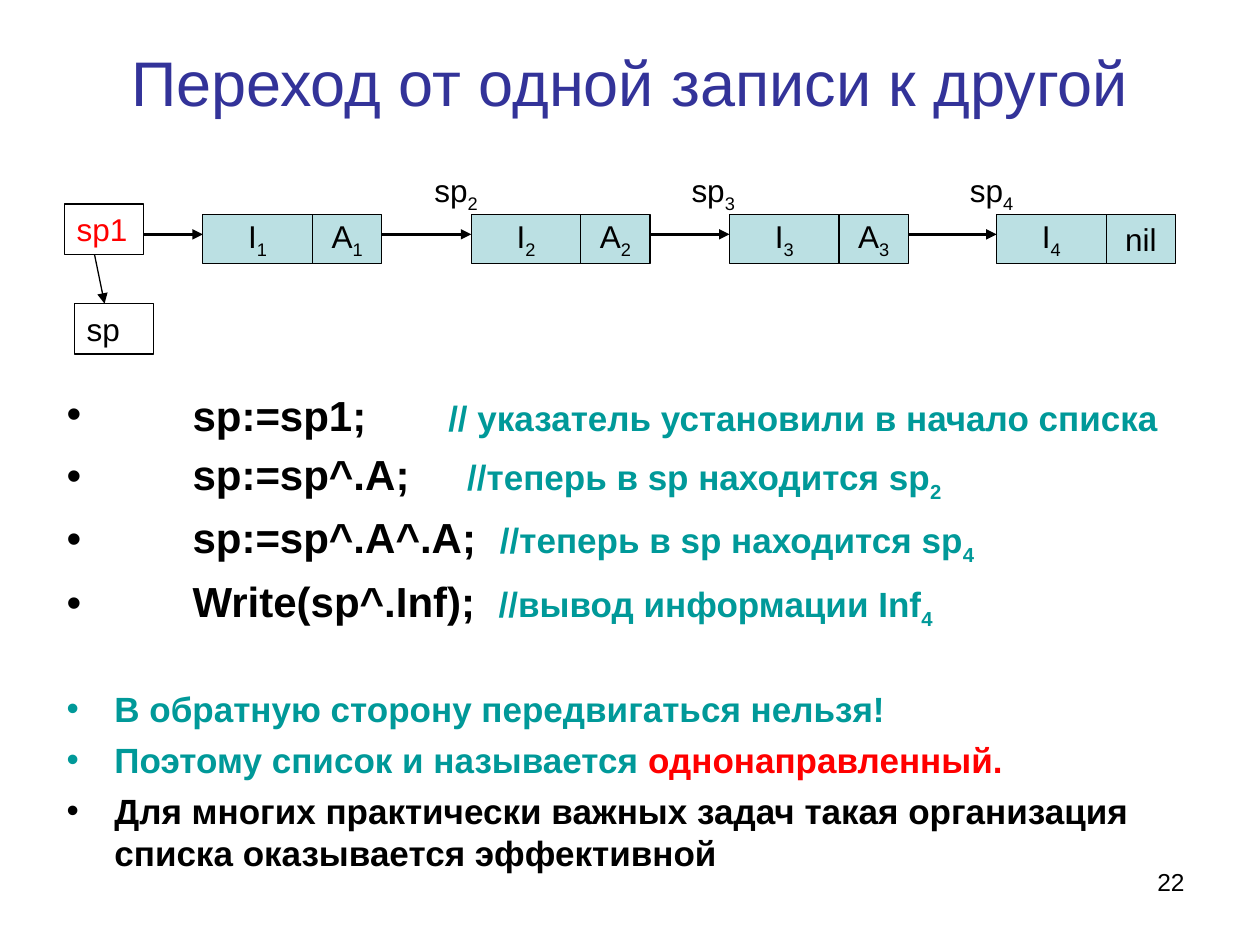
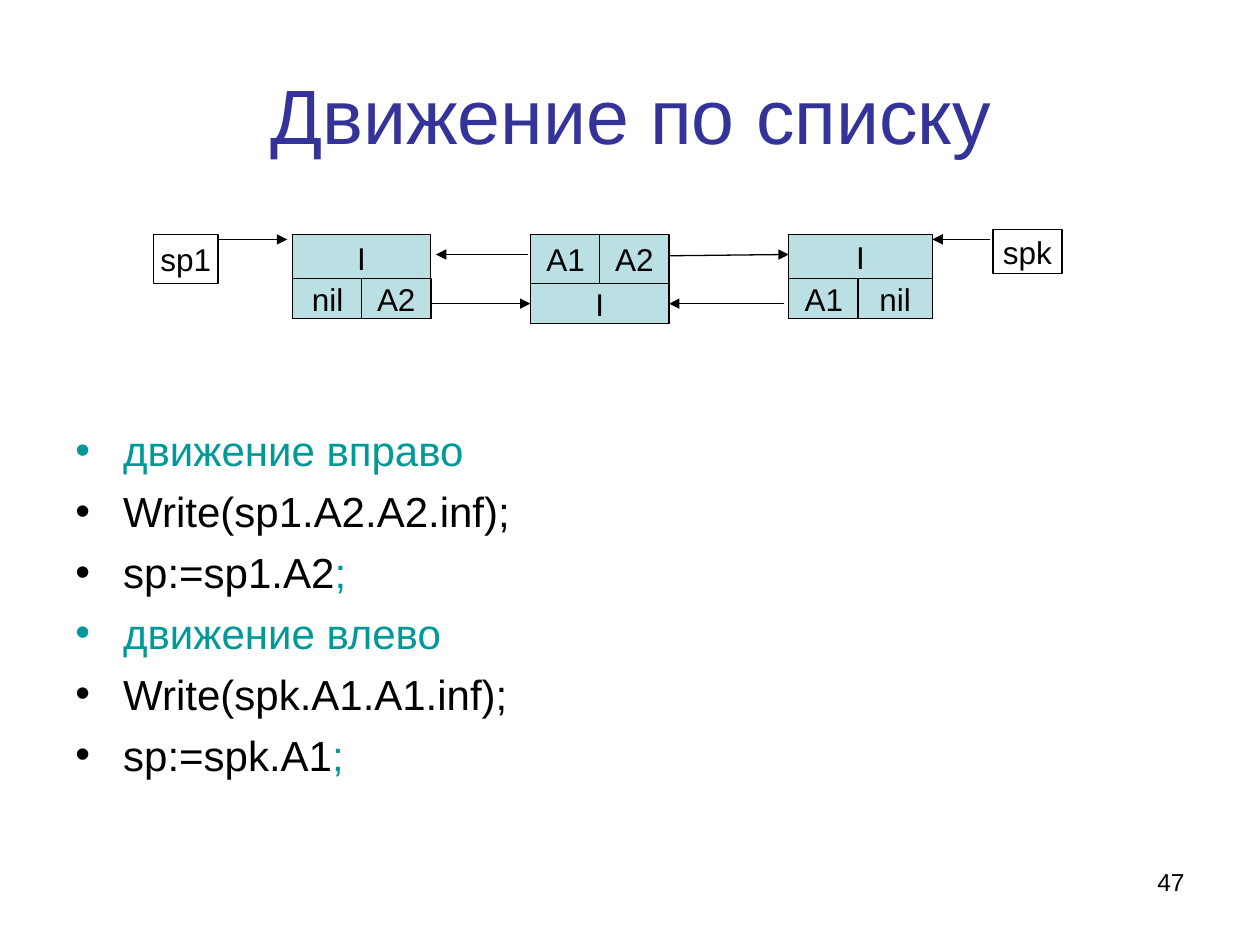
"""Build two slides on moving through one-way and two-way linked lists."""
import pptx
import pptx.util
import pptx.dml.color
import pptx.enum.shapes
import pptx.enum.text
import pptx.oxml.xmlchemy

Inches, Pt = pptx.util.Inches, pptx.util.Pt
ALIGN = pptx.enum.text.PP_ALIGN
ANCHOR = pptx.enum.text.MSO_ANCHOR

FONT = "Arial"
BLACK, NAVY, TEAL, RED, PALE = "000000", "333399", "009999", "FF0000", "BBE0E3"
INDENT = 0.38

ONE_WAY = {
    "title": ("Переход от одной записи к другой", (0.5, 0.3, 9, 0.69), 36),
    "page": "22",
    "body": (0.43, 3.04, 9, 3.89),
    "nodes": [
        (1.61, "I_1", "A_1"),
        (3.74, "I_2", "A_2"),
        (5.79, "I_3", "A_3"),
        (7.91, "I_4", "nil"),
    ],
    "labels": [(3.35, "sp_2"), (5.39, "sp_3"), (7.6, "sp_4")],
    "heads": [((0.51, 1.62, 0.63, 0.4), "sp1", RED), ((0.59, 2.41, 0.63, 0.4), "sp", BLACK)],
    "code": [
        ("sp:=sp1;", 3.03, "// указатель установили в начало списка"),
        ("sp:=sp^.A;", 3.18, "//теперь в sp находится sp_2"),
        ("sp:=sp^.A^.A;", 3.44, "//теперь в sp находится sp_4"),
        ("Write(sp^.Inf);", 3.43, "//вывод информации Inf_4"),
    ],
    "notes": [
        [("В обратную сторону передвигаться нельзя!", TEAL)],
        [("Поэтому список и называется ", TEAL), ("однонаправленный.", RED)],
        [("Для многих практически важных задач такая организация списка "
          "оказывается эффективной", BLACK)],
    ],
}

TWO_WAY = {
    "title": ("Движение по списку", (0.51, 0.28, 9, 1.25), 44),
    "page": "47",
    "body": (0.5, 3.32, 9, 3.38),
    "cells": [
        ("I", (2.32, 1.86, 1.1, 0.37)),
        ("nil", (2.32, 2.21, 0.56, 0.32)),
        ("А2", (2.87, 2.21, 0.55, 0.32)),
        ("A1", (4.21, 1.86, 0.56, 0.39)),
        ("A2", (4.76, 1.86, 0.55, 0.39)),
        ("I", (6.26, 1.86, 1.14, 0.35)),
        ("A1", (6.26, 2.21, 0.56, 0.32)),
        ("nil", (6.81, 2.21, 0.59, 0.32)),
    ],
    "middle": ("I", (4.21, 2.25, 1.1, 0.32)),
    "heads": [("sp1", (1.22, 1.86, 0.51, 0.39)), ("spk", (7.88, 1.82, 0.55, 0.35))],
    "arrows": [
        ((1.73, 1.9), (2.28, 1.9)),
        ((4.19, 2.02), (3.46, 2.02)),
        ((5.31, 2.03), (6.26, 2.02)),
        ((7.86, 1.9), (7.4, 1.9)),
    ],
    "joined": [((3.43, 2.41), (4.21, 2.41), 1), ((6.22, 2.41), (5.31, 2.41), 3)],
    "code": [
        [("движение вправо", TEAL)],
        [("Write(sp1.A2.A2.inf);", BLACK)],
        [("sp:=sp1.A2", BLACK), (";", TEAL)],
        [("движение влево", TEAL)],
        [("Write(spk.A1.A1.inf);", BLACK)],
        [("sp:=spk.A1", BLACK), (";", TEAL)],
    ],
}


def color(code):
    return pptx.dml.color.RGBColor.from_string(code)


def add_child(parent, tag, **attrs):
    child = pptx.oxml.xmlchemy.OxmlElement(tag)
    for key, value in attrs.items():
        child.set(key, str(value))
    parent.append(child)
    return child


def write(para, text, size=18, ink=BLACK, bold=False):
    for index, part in enumerate(text.split("_")):
        run = para.add_run()
        run.text = part
        font = run.font
        font.name, font.size, font.bold = FONT, Pt(size), bold
        font.color.rgb = color(ink)
        if index:
            run._r.get_or_add_rPr().set("baseline", "-25000")


def add_text(slide, place, text, size=18, ink=BLACK, align=ALIGN.LEFT, anchor=ANCHOR.TOP):
    box = slide.shapes.add_textbox(*map(Inches, place))
    frame = box.text_frame
    frame.word_wrap = True
    frame.vertical_anchor = anchor
    para = frame.paragraphs[0]
    para.alignment = align
    write(para, text, size, ink)


def add_box(slide, place, text, fill=None, ink=BLACK, center=True):
    box = slide.shapes.add_shape(
        pptx.enum.shapes.MSO_SHAPE.RECTANGLE, *map(Inches, place))
    box.shadow.inherit = False
    if fill:
        box.fill.solid()
        box.fill.fore_color.rgb = color(fill)
    else:
        box.fill.background()
    box.line.color.rgb = color(BLACK)
    box.line.width = Pt(0.75)
    frame = box.text_frame
    frame.word_wrap = not center
    frame.vertical_anchor = ANCHOR.MIDDLE if center else ANCHOR.TOP
    para = frame.paragraphs[0]
    para.alignment = ALIGN.CENTER if center else ALIGN.LEFT
    write(para, text, ink=ink)
    return box


def add_arrow(slide, start, end, width=0.75):
    arrow = slide.shapes.add_connector(
        pptx.enum.shapes.MSO_CONNECTOR.STRAIGHT, *map(Inches, start + end))
    arrow.line.color.rgb = color(BLACK)
    arrow.line.width = Pt(width)
    props = arrow._element.spPr
    add_child(props.get_or_add_ln(), "a:tailEnd", type="triangle")
    add_child(props, "a:effectLst")
    return arrow


def add_list(slide, place, rows):
    frame = slide.shapes.add_textbox(*map(Inches, place)).text_frame
    frame.word_wrap = True
    for index, (runs, ink, gap, stops) in enumerate(rows):
        para = frame.add_paragraph() if index else frame.paragraphs[0]
        props = para._p.get_or_add_pPr()
        props.set("marL", str(Inches(INDENT)))
        props.set("indent", str(-Inches(INDENT)))
        add_child(add_child(props, "a:buClr"), "a:srgbClr", val=ink)
        add_child(props, "a:buFont", typeface=FONT)
        add_child(props, "a:buChar", char="•")
        if stops:
            tabs = add_child(props, "a:tabLst")
            for stop in stops:
                add_child(tabs, "a:tab", pos=Inches(stop), algn="l")
        if index:
            para.space_before = Pt(gap)
        for run in runs:
            write(para, *run)


def add_slide(deck, data):
    slide = deck.slides.add_slide(deck.slide_layouts[6])
    text, place, size = data["title"]
    add_text(slide, place, text, size, NAVY, ALIGN.CENTER, ANCHOR.MIDDLE)
    add_text(slide, (7.17, 6.83, 2.33, 0.52), data["page"], 14, align=ALIGN.RIGHT)
    return slide


def draw_one_way(deck, data):
    slide = add_slide(deck, data)
    top, high, info, link, level = 1.7, 0.39, 0.87, 0.55, 1.86
    for place, text, ink in data["heads"]:
        add_box(slide, place, text, ink=ink, center=False)
    edge = 1.14
    for left, item, addr in data["nodes"]:
        add_box(slide, (left, top, info, high), item, PALE)
        add_box(slide, (left + info, top, link, high), addr, PALE)
        add_arrow(slide, (edge, level), (left, level), 1.5)
        edge = left + info + link
    add_arrow(slide, (0.75, 2.02), (0.83, 2.41))
    for left, text in data["labels"]:
        add_text(slide, (left, 1.31, 0.7, 0.44), text)
    rows = [([("\t" + code + "\t", 24, BLACK, True), (note, 20, TEAL, True)],
             BLACK, 5, (1, stop)) for code, stop, note in data["code"]]
    for index, parts in enumerate(data["notes"]):
        runs = [(text, 20, ink, True) for text, ink in parts]
        rows.append((runs, parts[0][1], 5 if index else 33, ()))
    add_list(slide, data["body"], rows)


def draw_two_way(deck, data):
    slide = add_slide(deck, data)
    for text, place in data["cells"]:
        add_box(slide, place, text, PALE)
    for text, place in data["heads"]:
        add_box(slide, place, text)
    text, place = data["middle"]
    middle = add_box(slide, place, text, PALE)
    for start, end in data["arrows"]:
        add_arrow(slide, start, end)
    for start, end, side in data["joined"]:
        add_arrow(slide, start, end).end_connect(middle, side)
    rows = [([(text, 24, ink) for text, ink in parts], parts[0][1], 6, ())
            for parts in data["code"]]
    add_list(slide, data["body"], rows)


def main():
    deck = pptx.Presentation()
    deck.slide_width, deck.slide_height = Inches(10), Inches(7.5)
    draw_one_way(deck, ONE_WAY)
    draw_two_way(deck, TWO_WAY)
    deck.save("out.pptx")


if __name__ == "__main__":
    main()
